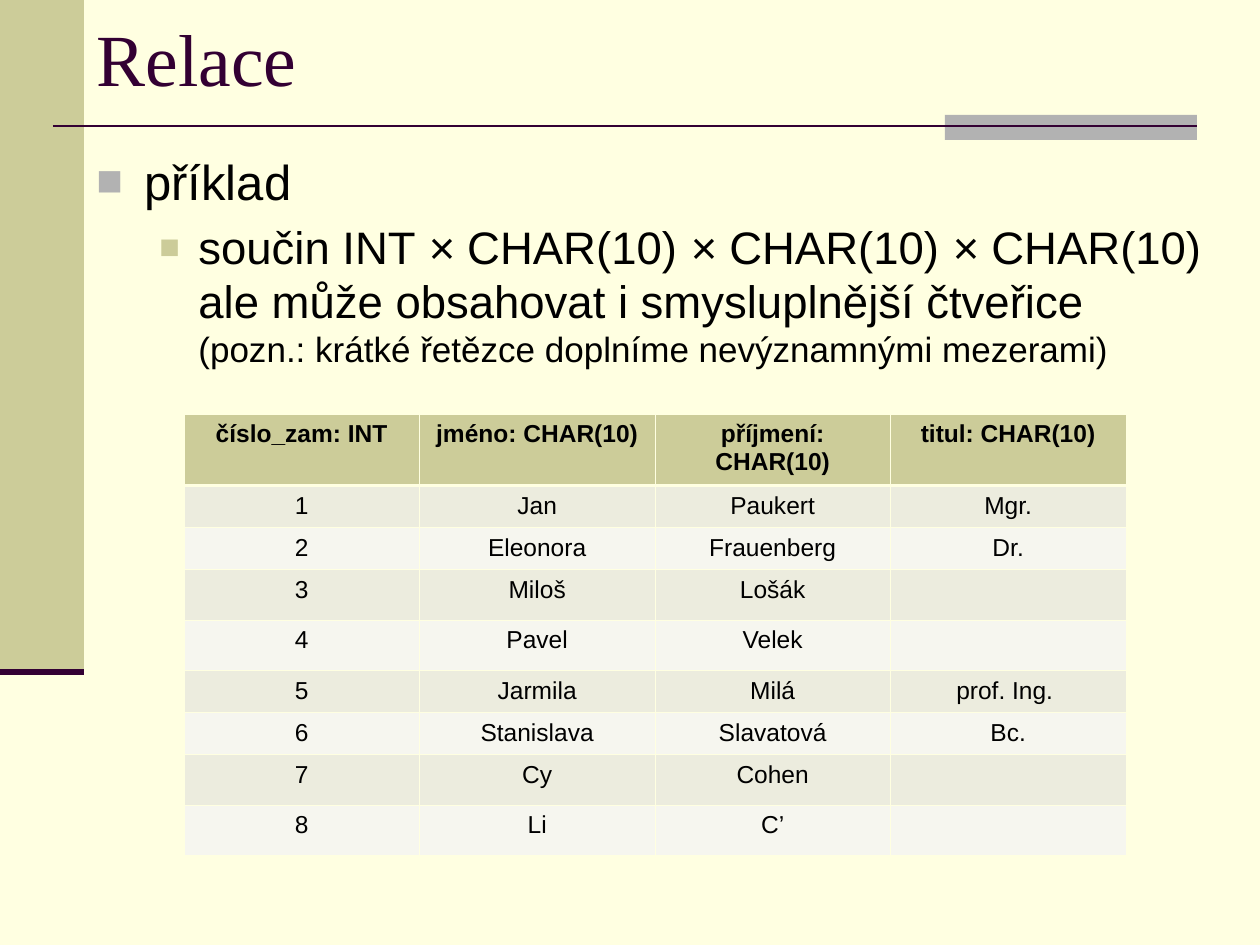
from lxml import etree
from pptx import Presentation
from pptx.dml.color import RGBColor
from pptx.enum.shapes import MSO_CONNECTOR, MSO_SHAPE
from pptx.enum.text import MSO_ANCHOR, PP_ALIGN
from pptx.oxml.ns import qn
from pptx.util import Emu, Pt

STRAIGHT = MSO_CONNECTOR.STRAIGHT
RECTANGLE = MSO_SHAPE.RECTANGLE
LEFT, CENTER = PP_ALIGN.LEFT, PP_ALIGN.CENTER
MIDDLE = MSO_ANCHOR.MIDDLE

COLORS = {
    "background": "FFFFE1",
    "olive": "CCCC99",
    "gray": "B2B2B2",
    "plum": "330033",
    "text": "000000",
    "odd_row": "ECECDE",
    "even_row": "F6F6EF",
}


def px(length):
    return Emu(round(length * 914400 / 126))


def set_font(font, name, size, color):
    font.name = name
    font.size = Pt(size)
    font.color.rgb = RGBColor.from_string(COLORS[color])


prs = Presentation()
prs.slide_width, prs.slide_height = px(1260), px(945)
slide = prs.slides.add_slide(prs.slide_layouts[5])
slide.background.fill.solid()
slide.background.fill.fore_color.rgb = RGBColor.from_string(COLORS["background"])

# Side bar and accent block, with their rules
for left, top, width, height, color in [
    (0, 0, 84, 672, "olive"),
    (945, 115, 252, 25, "gray"),
]:
    block = slide.shapes.add_shape(RECTANGLE, px(left), px(top), px(width), px(height))
    block.shadow.inherit = False
    block.fill.solid()
    block.fill.fore_color.rgb = RGBColor.from_string(COLORS[color])
    block.line.fill.background()

for start, end, y, weight in [(53, 1197, 126, 1.5), (0, 84, 672, 3.5)]:
    rule = slide.shapes.add_connector(STRAIGHT, px(start), px(y), px(end), px(y))
    rule.line.color.rgb = RGBColor.from_string(COLORS["plum"])
    rule.line.width = Pt(weight)
    etree.SubElement(rule._element.spPr, qn("a:effectLst"))

# Title
title = slide.shapes.title
title.left, title.top, title.width, title.height = px(84), px(0), px(1176), px(115)
title.text_frame.text = "Relace"
title.text_frame.vertical_anchor = MIDDLE
heading = title.text_frame.paragraphs[0]
heading.alignment = LEFT
set_font(heading.font, "Times New Roman", 42, "plum")

# Bulleted example
body = slide.shapes.add_textbox(px(84), px(145), px(1176), px(800)).text_frame
body.word_wrap = True
example = body.paragraphs[0]
product = body.add_paragraph()
product.level = 1
for bullet, margin, indent, size, before, color, percent in [
    (example, 48, -48, 28, 7, "gray", 90),
    (product, 102, -39, 26, 5, "olive", 75),
]:
    props = bullet._p.get_or_add_pPr()
    props.set("marL", str(px(margin)))
    props.set("indent", str(px(indent)))
    bullet_color = etree.SubElement(props, qn("a:buClr"))
    etree.SubElement(bullet_color, qn("a:srgbClr"), val=COLORS[color])
    etree.SubElement(props, qn("a:buSzPct"), val=str(percent * 1000))
    etree.SubElement(props, qn("a:buFont"), typeface="Arial")
    etree.SubElement(props, qn("a:buChar"), char="■")
    bullet.space_before = Pt(before)
    set_font(bullet.font, "Arial", size, "text")

example.add_run().text = "příklad"
factors = [
    "součin INT ",
    " CHAR(10) ",
    " CHAR(10) ",
    " CHAR(10) ale může obsahovat i smysluplnější čtveřice ",
]
for i, factor in enumerate(factors):
    if i:
        times = product.add_run()
        times.text = "×"
        times.font.italic = True
    product.add_run().text = factor
product.add_line_break()
remark = product.add_run()
remark.text = "(pozn.: krátké řetězce doplníme nevýznamnými mezerami)"
remark.font.size = Pt(20)

# Relation table; empty cells keep the default text size
relation = [
    ("číslo_zam: INT", "jméno: CHAR(10)", "příjmení: CHAR(10)", "titul: CHAR(10)"),
    ("1", "Jan", "Paukert", "Mgr."),
    ("2", "Eleonora", "Frauenberg", "Dr."),
    ("3", "Miloš", "Lošák", ""),
    ("4", "Pavel", "Velek", ""),
    ("5", "Jarmila", "Milá", "prof. Ing. "),
    ("6", "Stanislava", "Slavatová", "Bc."),
    ("7", "Cy", "Cohen", ""),
    ("8", "Li", "C’", ""),
]
table = slide.shapes.add_table(
    len(relation), len(relation[0]), px(184), px(414), px(942), px(270)
).table
for r, row in enumerate(relation):
    row_color = "olive" if r == 0 else ("odd_row" if r % 2 else "even_row")
    for c, value in enumerate(row):
        cell = table.cell(r, c)
        cell.fill.solid()
        cell.fill.fore_color.rgb = RGBColor.from_string(COLORS[row_color])
        if value:
            cell.text = value
            entry = cell.text_frame.paragraphs[0]
            entry.alignment = CENTER
            set_font(entry.font, "Arial", 14, "text")
            entry.font.bold = r == 0
        cell_props = cell._tc.get_or_add_tcPr()
        for position, side in enumerate("LRTB"):
            below_header = (r, side) in [(0, "B"), (1, "T")]
            weight = Pt(1.47 if below_header else 0.45)
            border = etree.Element(qn(f"a:ln{side}"), w=str(weight))
            border_fill = etree.SubElement(border, qn("a:solidFill"))
            etree.SubElement(border_fill, qn("a:srgbClr"), val=COLORS["background"])
            cell_props.insert(position, border)

prs.save("out.pptx")
